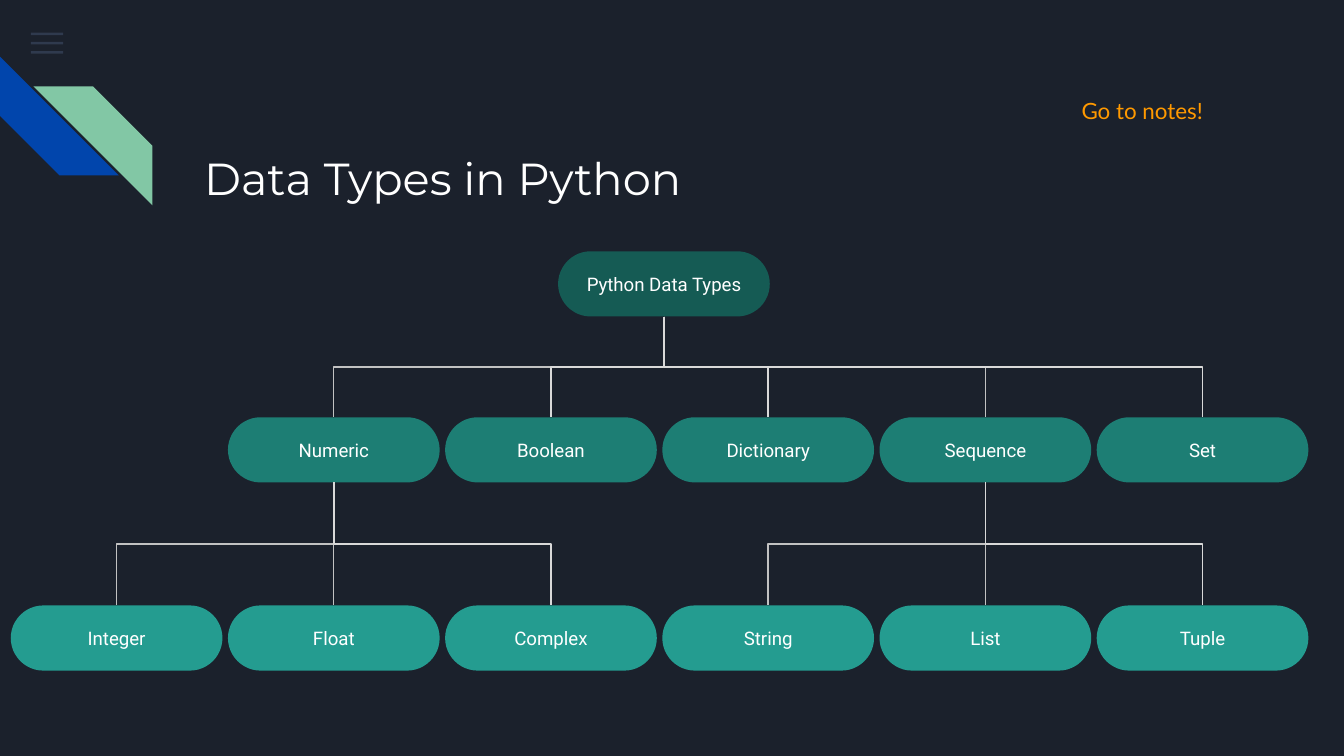
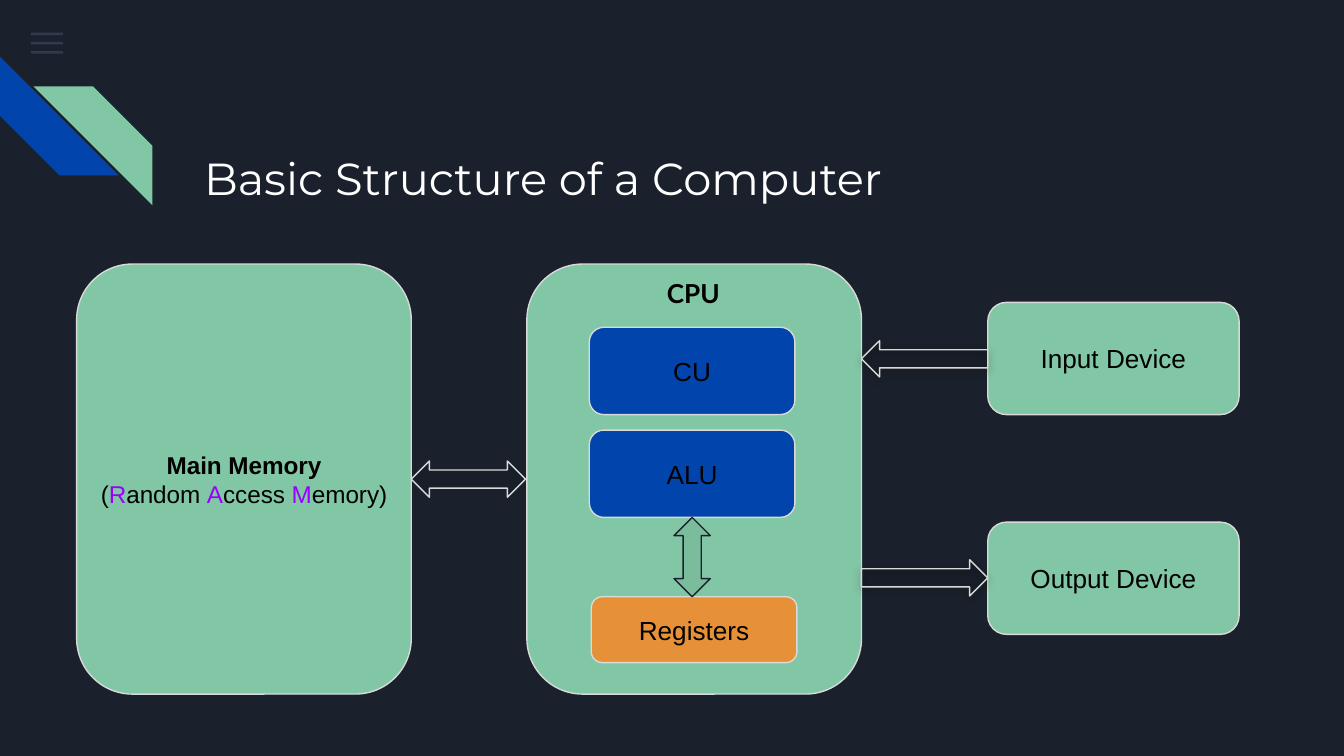
from dataclasses import dataclass
from typing import NamedTuple, Optional

from lxml import etree
from pptx import Presentation
from pptx import util as u
from pptx.dml.color import RGBColor
from pptx.enum import shapes as kinds, text as texts
from pptx.oxml.ns import qn

KIND = kinds.MSO_SHAPE
ALIGN = texts.PP_ALIGN
MID, TOP = texts.MSO_ANCHOR.MIDDLE, texts.MSO_ANCHOR.TOP


# Colours and type sizes
@dataclass(frozen=True)
class Theme:
    back: str = "1B212C"
    white: str = "FFFFFF"
    black: str = "000000"
    slate: str = "55688B"
    blue: str = "0145AC"
    mint: str = "82C7A5"
    amber: str = "E69138"
    orange: str = "FF9900"
    violet: str = "9900FF"
    pale: str = "D9D9D9"
    grey: str = "C2C2C2"
    tiers: tuple = ("155B54", "1D7E74", "249C90")
    head: int = 24
    label: int = 14
    body: int = 13
    note: int = 12
    node: int = 10
    rule: float = 0.75


T = Theme()
WIDE, HIGH = u.Inches(10), u.Inches(5.625)


# Places are counted in square cells, 100 to the slide's width
def cell(n: float) -> int:
    return round(WIDE * n / 100)


class Area(NamedTuple):
    col: float
    row: float
    cols: float
    rows: float

    def spot(self) -> list:
        return [cell(n) for n in self]


class Face(NamedTuple):
    font: str
    size: float
    tint: str
    bold: bool = False


TITLE = Face("Montserrat", T.head, T.white)
LEAF = Face("Roboto", T.node, T.white)
PLAIN = Face("Arial", T.label, T.black)
BODY = Face("Arial", T.body, T.black)


class Part(NamedTuple):
    kind: int
    area: Area
    fill: str
    line: Optional[str] = None
    words: str = ""
    face: Face = PLAIN
    alpha: int = 100
    turn: int = 0
    curve: Optional[float] = None
    shade: bool = False
    flip: bool = False


def rgb(tint: str) -> RGBColor:
    return RGBColor.from_string(tint)


def dress(run, face: Face) -> None:
    run.font.name, run.font.size = face.font, u.Pt(face.size)
    run.font.bold = face.bold
    run.font.color.rgb = rgb(face.tint)


def write(shape, words: str, face: Face, align=ALIGN.CENTER, anchor=MID):
    frame = shape.text_frame
    frame.word_wrap, frame.vertical_anchor = True, anchor
    frame.margin_left = frame.margin_right = cell(1)
    frame.margin_top = frame.margin_bottom = cell(1)
    frame.text = words
    for para in frame.paragraphs:
        para.alignment = align
        for run in para.runs:
            dress(run, face)
    return frame


def label(slide, area: Area, words: str, face: Face, align=ALIGN.LEFT):
    box = slide.shapes.add_textbox(*area.spot())
    return write(box, words, face, align, TOP)


def fade(fill, share: int) -> None:
    tint = fill._xPr.find(qn("a:solidFill"))[0]
    etree.SubElement(tint, qn("a:alpha")).set("val", str(share * 1000))


def cast(shape) -> None:
    fx = shape._element.spPr.find(qn("a:effectLst"))
    drop = etree.SubElement(fx, qn("a:outerShdw"), blurRad=str(u.Pt(4.5)),
                            dist=str(u.Pt(1.5)), dir="5400000",
                            algn="bl", rotWithShape="0")
    tint = etree.SubElement(drop, qn("a:srgbClr"), val=T.black)
    etree.SubElement(tint, qn("a:alpha"), val="50000")


def draw(slide, part: Part):
    shape = slide.shapes.add_shape(part.kind, *part.area.spot())
    shape.shadow.inherit = False
    shape.rotation = part.turn
    shape.fill.solid()
    shape.fill.fore_color.rgb = rgb(part.fill)
    if part.alpha < 100:
        fade(shape.fill, part.alpha)
    if part.line:
        shape.line.color.rgb = rgb(part.line)
        shape.line.width = u.Pt(T.rule)
    else:
        shape.line.fill.background()
    if part.curve is not None:
        shape.adjustments[0] = part.curve
    if part.flip:
        shape._element.spPr.xfrm.flipH = True
    if part.shade:
        cast(shape)
    if part.words:
        write(shape, part.words, part.face)
    return shape


# Shared slide frame: menu bars, corner stripes and title
def start(deck, title: str):
    slide = deck.slides.add_slide(deck.slide_layouts[6])
    for i in range(3):
        draw(slide, Part(KIND.RECTANGLE, Area(2.3, 2.42 + 0.69 * i, 2.4, 0.2),
                         T.slate, alpha=36))
    stripe = KIND.DIAGONAL_STRIPE
    draw(slide, Part(stripe, Area(0, 4.2, 8.85, 8.85), T.blue, turn=270))
    draw(slide, Part(stripe, Area(2.5, 6.43, 8.85, 8.85), T.mint, flip=True))
    label(slide, Area(14.2, 10.25, 77, 5.7), title, TITLE)
    return slide


# Tree of data types
class Node(NamedTuple):
    name: str
    tier: int
    col: float
    root: str = ""
    line: str = T.grey


ROWS = (18.7, 31.05, 45.05)
STEP, EDGE = 16.16, 0.8
NODES = (
    Node("Python Data Types", 0, 2.52),
    Node("Numeric", 1, 1, "Python Data Types"),
    Node("Boolean", 1, 2, "Python Data Types", T.pale),
    Node("Dictionary", 1, 3, "Python Data Types", T.pale),
    Node("Sequence", 1, 4, "Python Data Types"),
    Node("Set", 1, 5, "Python Data Types", T.pale),
    Node("Integer", 2, 0, "Numeric"),
    Node("Float", 2, 1, "Numeric"),
    Node("Complex", 2, 2, "Numeric", T.pale),
    Node("String", 2, 3, "Sequence"),
    Node("List", 2, 4, "Sequence"),
    Node("Tuple", 2, 5, "Sequence", T.pale),
)


def link(slide, top, low, tint: str) -> None:
    wire = slide.shapes.add_connector(kinds.MSO_CONNECTOR.ELBOW, 0, 0, 0, 0)
    wire.begin_connect(top, 2)
    wire.end_connect(low, 0)
    # Turn the elbow so that it leaves and arrives upright
    x1, y1 = top.left + top.width // 2, top.top + top.height
    x2, y2 = low.left + low.width // 2, low.top
    drop, run = y2 - y1, abs(x2 - x1)
    wire.width, wire.height = drop, run
    wire.left = (x1 + x2 - drop) // 2
    wire.top = (y1 + y2 - run) // 2
    right = x2 >= x1
    form = wire._element.spPr.xfrm
    form.rot, form.flipH, form.flipV = (270 if right else 90), right, False
    wire.line.color.rgb = rgb(tint)
    wire.line.width = u.Pt(T.rule)
    etree.SubElement(wire._element.spPr, qn("a:effectLst"))


def tree(deck) -> None:
    slide = start(deck, "Data Types in Python")
    pills = {}
    for n in NODES:
        area = Area(EDGE + STEP * n.col, ROWS[n.tier], 15.75, 4.85)
        pills[n.name] = draw(slide, Part(KIND.ROUNDED_RECTANGLE, area,
                                         T.tiers[n.tier], words=n.name,
                                         face=LEAF, curve=0.5))
    for n in NODES:
        if n.root:
            link(slide, pills[n.root], pills[n.name], n.line)
    note = label(slide, Area(73.3, 5.2, 17.2, 3.5), "Go to notes!",
                 Face("Lato", T.note, T.orange), ALIGN.RIGHT)
    para = note.paragraphs[0]
    para.line_spacing = 1.5
    para._p.get_or_add_pPr().set("marL", str(cell(5)))


# Computer diagram
def block(area: Area, fill: str, words: str = "") -> Part:
    return Part(KIND.ROUNDED_RECTANGLE, area, fill, T.pale, words)


def arrow(kind: int, area: Area, line: str = T.pale, turn: int = 0,
          shade: bool = False) -> Part:
    return Part(kind, area, T.black, line, alpha=5, turn=turn, shade=shade)


RAM = block(Area(5.7, 19.65, 24.9, 32), T.mint, "Main Memory")
BOTH = KIND.LEFT_RIGHT_ARROW
PARTS = (
    block(Area(39.2, 19.65, 24.9, 32), T.mint),
    block(Area(73.5, 22.5, 18.7, 8.35), T.mint, "Input Device"),
    block(Area(73.5, 38.85, 18.7, 8.35), T.mint, "Output Device"),
    arrow(KIND.LEFT_ARROW, Area(64.1, 25.35, 9.4, 2.7), shade=True),
    arrow(KIND.RIGHT_ARROW, Area(64.1, 41.65, 9.4, 2.7), shade=True),
    arrow(BOTH, Area(30.6, 34.3, 8.5, 2.7)),
    block(Area(43.85, 24.35, 15.3, 6.5), T.blue, "CU"),
    block(Area(43.85, 32, 15.3, 6.5), T.blue, "ALU"),
    block(Area(44, 44.4, 15.3, 4.9), T.amber, "Registers"),
    arrow(BOTH, Area(48.55, 40.1, 5.9, 2.7), T.back, 90),
)
SPELL = ("(", "R", "andom ", "A", "ccess ", "M", "emory)")


def machine(deck) -> None:
    slide = start(deck, "Basic Structure of a Computer")
    for part in PARTS:
        draw(slide, part)
    label(slide, Area(43.8, 19.65, 15.6, 4.4), "CPU",
          Face("Lato", T.label, T.black, True), ALIGN.CENTER)
    # Memory text, with its initials picked out
    frame = draw(slide, RAM).text_frame
    frame.margin_left = frame.margin_right = 0
    dress(frame.paragraphs[0].runs[0], BODY._replace(bold=True))
    para = frame.add_paragraph()
    para.alignment = ALIGN.CENTER
    for piece in SPELL:
        run = para.add_run()
        run.text = piece
        tint = T.violet if piece.isupper() else T.black
        dress(run, BODY._replace(tint=tint))


def main() -> None:
    deck = Presentation()
    deck.slide_width, deck.slide_height = WIDE, HIGH
    fill = deck.slide_master.background.fill
    fill.solid()
    fill.fore_color.rgb = rgb(T.back)
    tree(deck)
    machine(deck)
    deck.save("out.pptx")


if __name__ == "__main__":
    main()
